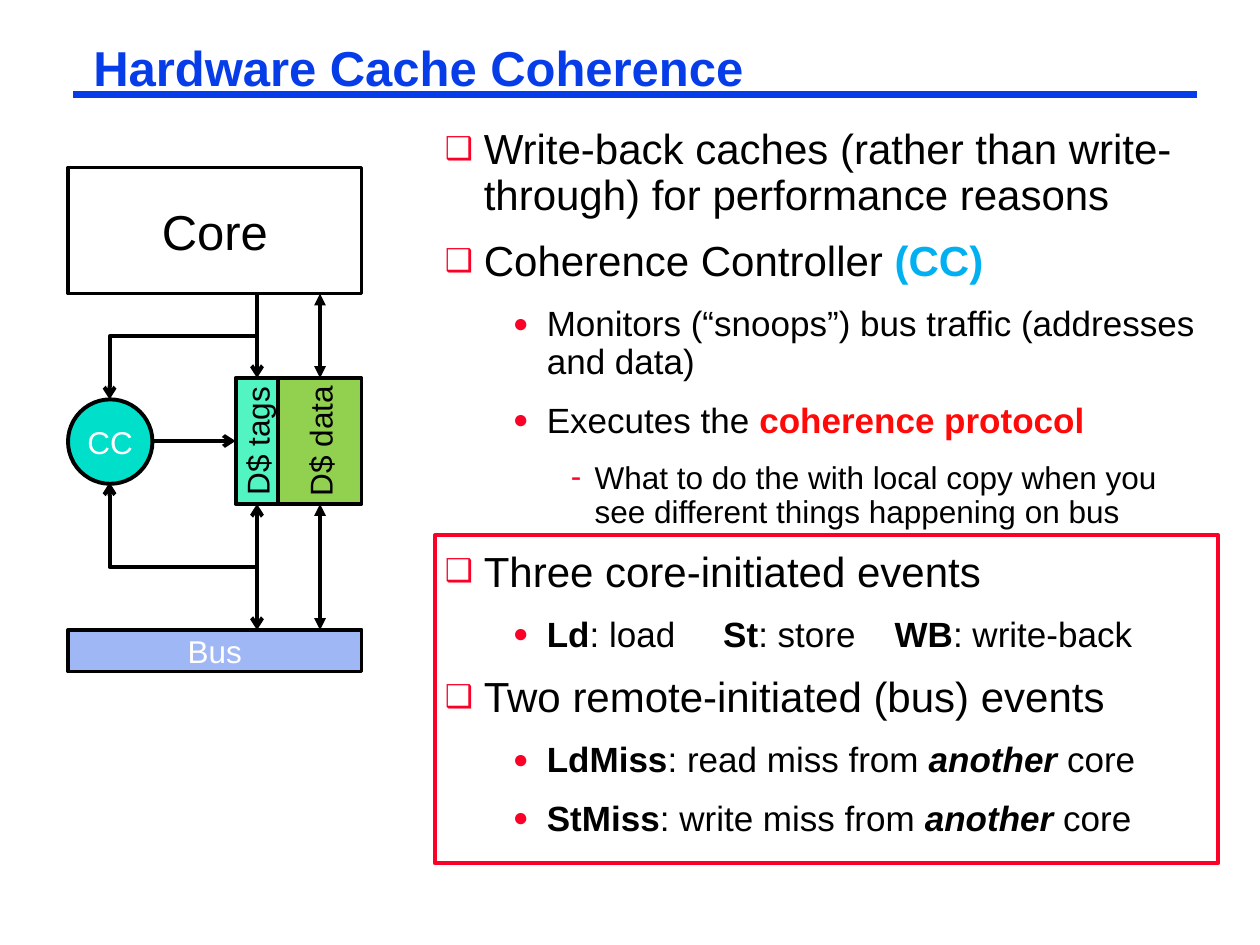
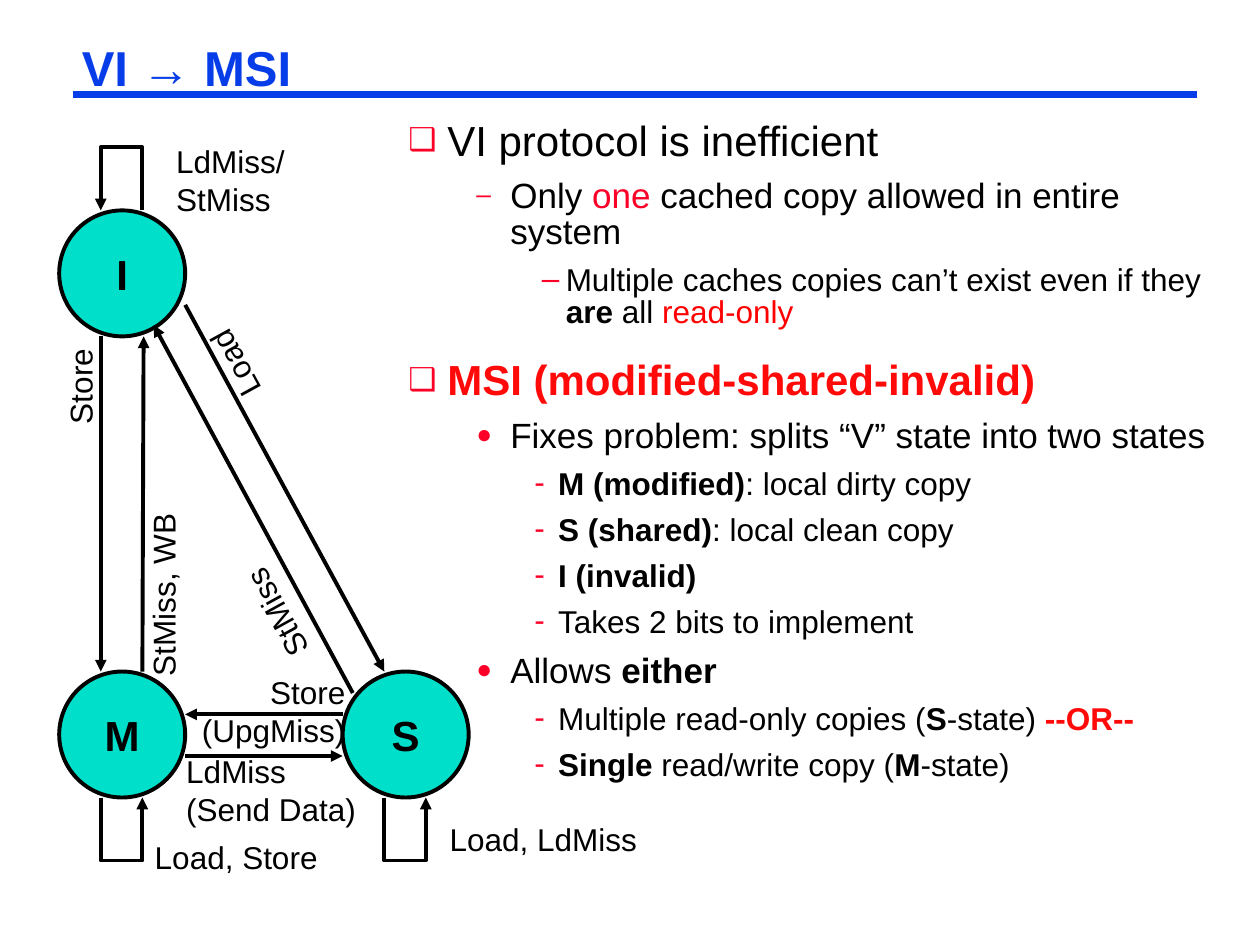
"""Build two slides on hardware cache coherence and the MSI protocol."""
from dataclasses import dataclass, field

from lxml import etree
from pptx import Presentation
from pptx import util as u
from pptx.dml.color import RGBColor
from pptx.enum import shapes, text
from pptx.oxml.ns import qn


@dataclass(frozen=True)
class Theme:
    """Colours, type sizes and run styles shared by the slides."""
    font: str = "Arial"
    blue: str = "063DE8"
    red: str = "FC0128"
    black: str = "000000"
    white: str = "FFFFFF"
    teal: str = "00DFCA"
    mint: str = "52F4C2"
    green: str = "92D050"
    bus: str = "A0B7F6"
    title_size: int = 28
    state_size: int = 24
    label_size: int = 18
    line_width: float = 2.25
    rule_width: float = 4.5
    styles: dict = field(default_factory=lambda: {
        "plain": {},
        "bold": {"bold": True},
        "stress": {"bold": True, "italic": True},
        "cyan": {"bold": True, "color": "00B0F0"},
        "alert": {"bold": True, "color": "FF0909"},
        "red": {"color": "FC0128"},
        "bright": {"color": "FF0000"},
    })


@dataclass(frozen=True)
class Bullet:
    """Level, type size, indents and marker of a list item."""
    level: int
    size: int
    margin: float
    hanging: float
    marker: str
    marker_percent: int = 100


@dataclass(frozen=True)
class Spacing:
    """Line spacing and space before, one value for each list level."""
    lines: tuple
    before: tuple


THEME = Theme()
BULLETS = {
    "square": Bullet(0, 24, 0.31, 0.31, "❑", 75),
    "dot": Bullet(1, 20, 0.81, 0.27, "●", 75),
    "dash": Bullet(1, 20, 0.81, 0.27, "–", 75),
    "hyphen": Bullet(2, 18, 1.19, 0.19, "-"),
    "deep dash": Bullet(2, 18, 1.25, 0.19, "–"),
}
LOOSE = Spacing((0.9, 0.9, 0.9), (12, 12, 12))
TIGHT = Spacing((0.9, 0.85, 0.85), (17, 8.5, 8))

COHERENCE_ITEMS = [
    ("square", ["Write-back caches (rather than write-through) for performance reasons"]),
    ("square", ["Coherence Controller ", ("(CC)", "cyan")]),
    ("dot", ["Monitors (“snoops”) bus traffic (addresses and data)"]),
    ("dot", ["Executes the ", ("coherence protocol", "alert")]),
    ("hyphen", ["What to do the with local copy when you see different things happening on bus"]),
    ("square", ["Three core-initiated events"]),
    ("dot", [("Ld", "bold"), ": load\t", ("St", "bold"), ": store\t",
             ("WB", "bold"), ": write-back"]),
    ("square", ["Two remote-initiated (bus) events"]),
    ("dot", [("LdMiss", "bold"), ": read miss from ", ("another", "stress"), " core"]),
    ("dot", [("StMiss", "bold"), ": write miss from ", ("another", "stress"), " core"]),
]
EVENT_TABS = (2.21, 3.57)
MSI_ITEMS = [
    ("square", ["VI protocol is inefficient"]),
    ("dash", ["Only ", ("one", "red"), " cached copy allowed in entire system"]),
    ("deep dash", ["Multiple caches copies can’t exist even if they ", ("are", "bold"),
                   " all ", ("read-only", "bright")]),
    ("square", [("MSI (modified-shared-invalid)", "alert")]),
    ("dot", ["Fixes problem: splits “V” state into two states"]),
    ("hyphen", [("M (modified)", "bold"), ": local dirty copy"]),
    ("hyphen", [("S (shared)", "bold"), ": local clean copy"]),
    ("hyphen", [("I (invalid)", "bold")]),
    ("hyphen", ["Takes 2 bits to implement"]),
    ("dot", ["Allows ", ("either", "bold")]),
    ("hyphen", ["Multiple read-only copies (", ("S", "bold"), "-state) ", ("--OR--", "alert")]),
    ("hyphen", [("Single", "bold"), " read/write copy (", ("M", "bold"), "-state)"]),
]


def inches(values):
    """Convert numbers to lengths."""
    return [u.Inches(value) for value in values]


def format_run(run, size, color=THEME.black, bold=False, italic=False):
    """Apply the shared font to a run."""
    run.font.name = THEME.font
    run.font.size = u.Pt(size)
    run.font.color.rgb = RGBColor.from_string(color)
    run.font.bold = bold
    run.font.italic = italic


def place(shape, box):
    """Move a placeholder and set its frame."""
    shape.left, shape.top, shape.width, shape.height = inches(box)
    frame = shape.text_frame
    frame.margin_left = frame.margin_right = u.Inches(0.07)
    frame.margin_top = frame.margin_bottom = u.Inches(0.03)
    frame.auto_size = text.MSO_AUTO_SIZE.NONE
    frame.vertical_anchor = text.MSO_ANCHOR.TOP
    return frame


def set_line(shape, color=THEME.black, width=THEME.line_width, head=None, tail=None):
    """Style an outline or line and add its arrowheads."""
    shape.line.color.rgb = RGBColor.from_string(color)
    shape.line.width = u.Pt(width)
    outline = shape.element.spPr.find(qn("a:ln"))
    for tag, kind in (("a:headEnd", head), ("a:tailEnd", tail)):
        if kind:
            etree.SubElement(outline, qn(tag), type=kind)


def add_line(slide, start, end, joins=(None, None), **style):
    """Draw a straight line, joined to (shape, site) pairs where given."""
    connector = slide.shapes.add_connector(
        shapes.MSO_CONNECTOR.STRAIGHT, *inches(start + end))
    set_line(connector, **style)
    etree.SubElement(connector.element.spPr, qn("a:effectLst"))
    for join, connect in zip(joins, (connector.begin_connect, connector.end_connect)):
        if join:
            connect(*join)


def add_bent_arrow(slide, points, tail):
    """Draw an open outline with an arrowhead at its last point."""
    start, *others = [inches(point) for point in points]
    builder = slide.shapes.build_freeform(*start)
    builder.add_line_segments(others, close=False)
    shape = builder.convert_to_shape()
    shape.shadow.inherit = False
    shape.fill.background()
    set_line(shape, tail=tail)


def add_loop(slide, start_x, end_x, state_y, far_y):
    """Draw a transition from a state back to itself."""
    add_bent_arrow(slide, [(start_x, state_y), (start_x, far_y),
                           (end_x, far_y), (end_x, state_y)], "triangle")


def add_block(slide, box, label="", fill=None, size=THEME.label_size, color=THEME.black,
              line=THEME.black, round_shape=False, bold=False, upward=False):
    """Draw an outlined rectangle or circle with a centred label."""
    kind = shapes.MSO_SHAPE.FLOWCHART_CONNECTOR if round_shape else shapes.MSO_SHAPE.RECTANGLE
    shape = slide.shapes.add_shape(kind, *inches(box))
    shape.shadow.inherit = False
    if fill:
        shape.fill.solid()
        shape.fill.fore_color.rgb = RGBColor.from_string(fill)
    else:
        shape.fill.background()
    set_line(shape, line)
    if label:
        frame = shape.text_frame
        frame.text = label
        frame.word_wrap = False
        frame.vertical_anchor = text.MSO_ANCHOR.MIDDLE
        frame.paragraphs[0].alignment = text.PP_ALIGN.CENTER
        format_run(frame.paragraphs[0].runs[0], size, color, bold)
        if upward:
            frame._txBody.bodyPr.set("vert", "vert270")
    return shape


def add_state(slide, name, left, top):
    """Draw a protocol state."""
    add_block(slide, (left, top, 1, 1), name, THEME.teal, THEME.state_size,
              round_shape=True, bold=True)


def add_label(slide, label, box, rotation=0, alignment=text.PP_ALIGN.LEFT):
    """Add a transition label."""
    shape = slide.shapes.add_textbox(*inches(box))
    shape.rotation = rotation
    frame = shape.text_frame
    frame.word_wrap = True
    frame.text = label
    frame.paragraphs[0].alignment = alignment
    format_run(frame.paragraphs[0].runs[0], THEME.label_size)


def set_bullet(paragraph, bullet, tabs):
    """Set indents, marker and tab stops of a list item."""
    properties = paragraph._p.get_or_add_pPr()
    properties.set("marL", str(u.Inches(bullet.margin)))
    properties.set("indent", str(-u.Inches(bullet.hanging)))
    marker_color = etree.SubElement(properties, qn("a:buClr"))
    etree.SubElement(marker_color, qn("a:srgbClr"), val=THEME.red)
    etree.SubElement(properties, qn("a:buSzPct"), val=str(bullet.marker_percent * 1000))
    etree.SubElement(properties, qn("a:buFont"), typeface=THEME.font)
    etree.SubElement(properties, qn("a:buChar"), char=bullet.marker)
    if tabs:
        stops = etree.SubElement(properties, qn("a:tabLst"))
        for position in tabs:
            etree.SubElement(stops, qn("a:tab"), pos=str(u.Inches(position)), algn="l")


def fill_list(frame, items, spacing):
    """Write the list items into the body."""
    for index, (kind, runs) in enumerate(items):
        bullet = BULLETS[kind]
        paragraph = frame.add_paragraph() if index else frame.paragraphs[0]
        paragraph.level = bullet.level
        paragraph.line_spacing = spacing.lines[bullet.level]
        paragraph.space_before = u.Pt(spacing.before[bullet.level])
        has_tabs = any("\t" in part for part in runs if isinstance(part, str))
        set_bullet(paragraph, bullet, EVENT_TABS if has_tabs else ())
        for part in runs:
            wording, style = (part, "plain") if isinstance(part, str) else part
            run = paragraph.add_run()
            run.text = wording
            format_run(run, bullet.size, **THEME.styles[style])


def add_list_slide(presentation, title, title_box, body_box, items, spacing):
    """Add a slide with the ruled title and a bulleted list."""
    slide = presentation.slides.add_slide(presentation.slide_layouts[1])
    add_line(slide, (0.58, 0.75), (9.5, 0.75), color=THEME.blue, width=THEME.rule_width)
    frame = place(slide.shapes.title, title_box)
    frame.text = title
    paragraph = frame.paragraphs[0]
    paragraph.alignment = text.PP_ALIGN.LEFT
    paragraph.line_spacing = 0.87
    format_run(paragraph.runs[0], THEME.title_size, THEME.blue, bold=True)
    fill_list(place(slide.placeholders[1], body_box), items, spacing)
    return slide


def draw_cache(slide):
    """Draw the core, cache, coherence controller and bus."""
    add_block(slide, (0.54, 1.33, 2.33, 1), "Core", size=THEME.title_size)
    data = add_block(slide, (2.21, 3, 0.66, 1), "D$ data", THEME.green, upward=True)
    tags = add_block(slide, (1.87, 3, 0.34, 1), "D$ tags", THEME.mint, upward=True)
    add_block(slide, (0.54, 3.17, 0.67, 0.67), "CC", THEME.teal,
              color=THEME.white, round_shape=True)
    add_block(slide, (0.54, 5, 2.33, 0.33), "Bus", THEME.bus, color=THEME.white)
    both_ways = {"head": "triangle", "tail": "triangle"}
    add_line(slide, (2.04, 2.33), (2.04, 3), (None, (tags, 0)), tail="arrow")
    add_line(slide, (2.54, 2.33), (2.54, 3), (None, (data, 0)), **both_ways)
    add_line(slide, (2.54, 4), (2.54, 5), ((data, 2), None), **both_ways)
    add_line(slide, (2.04, 4), (2.04, 5), ((tags, 2), None), head="arrow", tail="arrow")
    add_line(slide, (1.87, 3.5), (1.21, 3.5), ((tags, 1), None), head="arrow")
    for branch_y, controller_y in ((4.5, 3.83), (2.67, 3.17)):
        add_bent_arrow(slide, [(2.04, branch_y), (0.87, branch_y), (0.87, controller_y)], "arrow")
    add_block(slide, (3.45, 4.25, 6.22, 2.6), line=THEME.red)


def draw_states(slide):
    """Draw the MSI state diagram."""
    for name, left, top in (("I", 0.47, 1.67), ("M", 0.47, 5.33), ("S", 2.72, 5.33)):
        add_state(slide, name, left, top)
    for start, end in (((1.13, 5.33), (1.14, 2.67)), ((0.8, 2.67), (0.8, 5.33)),
                       ((2.72, 5.67), (1.47, 5.67)), ((1.47, 6), (2.72, 6)),
                       ((2.8, 5.5), (1.22, 2.58)), ((1.47, 2.42), (3.05, 5.33))):
        add_line(slide, start, end, tail="triangle")
    add_loop(slide, 1.13, 0.8, 1.67, 1.17)
    for left in (0.8, 3.05):
        add_loop(slide, left, left + 0.33, 6.33, 6.83)
    for label, box, rotation in (
            ("Store", (0.11, 2.74, 1.05, 0.4), 270),
            ("StMiss, WB", (-0.32, 3.65, 3.23, 0.4), 270),
            ("StMiss", (0.96, 4.22, 1.97, 0.4), 241.2),
            ("Load", (1.3, 2.58, 1, 0.4), 241.2),
            ("Load, Store", (1.13, 6.6, 1.67, 0.4), 0),
            ("Load, LdMiss", (3.47, 6.46, 2.09, 0.71), 0),
            ("LdMiss (Send Data)", (1.38, 5.92, 1.7, 0.71), 0),
            ("LdMiss/ StMiss", (1.3, 1.08, 1.42, 0.71), 0)):
        add_label(slide, label, box, rotation)
    add_label(slide, "Store (UpgMiss)", (1.41, 5.29, 1.43, 0.71), alignment=text.PP_ALIGN.RIGHT)


def main():
    """Build and save the presentation."""
    presentation = Presentation()
    presentation.slide_width, presentation.slide_height = inches((10, 7.5))
    draw_cache(add_list_slide(
        presentation, "Hardware Cache Coherence", (0.67, 0.33, 8.66, 0.46),
        (3.46, 0.99, 6.15, 5.75), COHERENCE_ITEMS, LOOSE))
    draw_states(add_list_slide(
        presentation, "VI → MSI", (0.58, 0.33, 8.92, 0.46),
        (3.17, 0.92, 6.67, 5.57), MSI_ITEMS, TIGHT))
    presentation.save("out.pptx")


if __name__ == "__main__":
    main()
